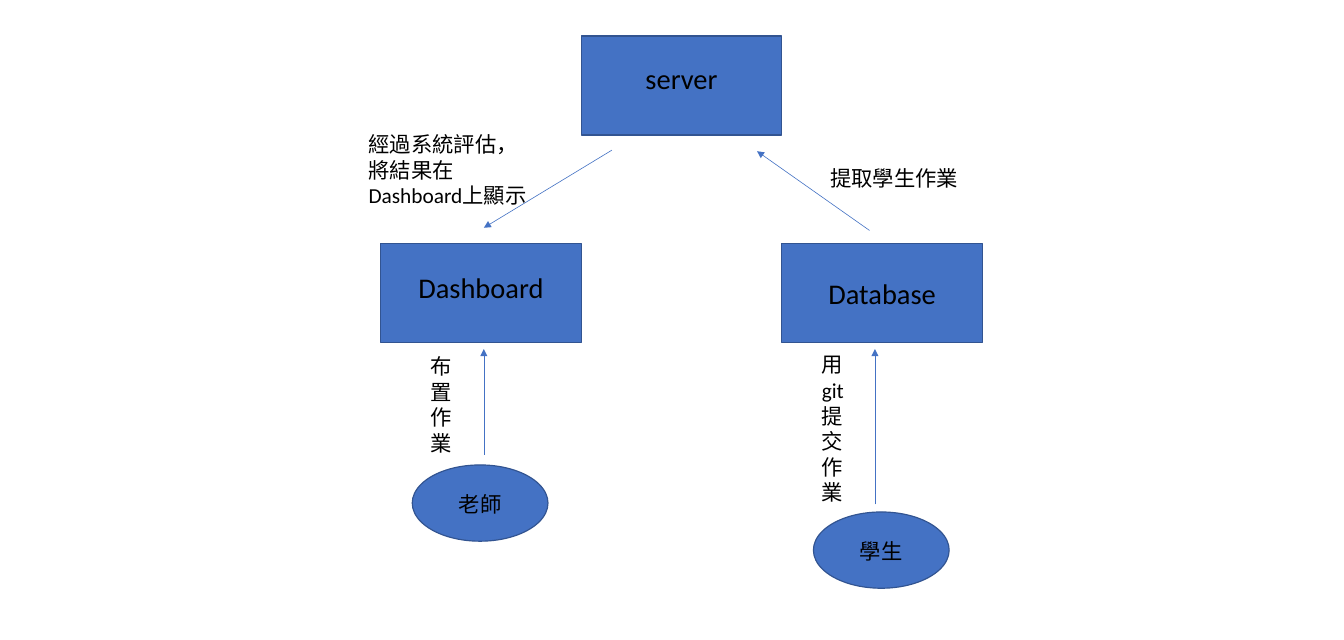
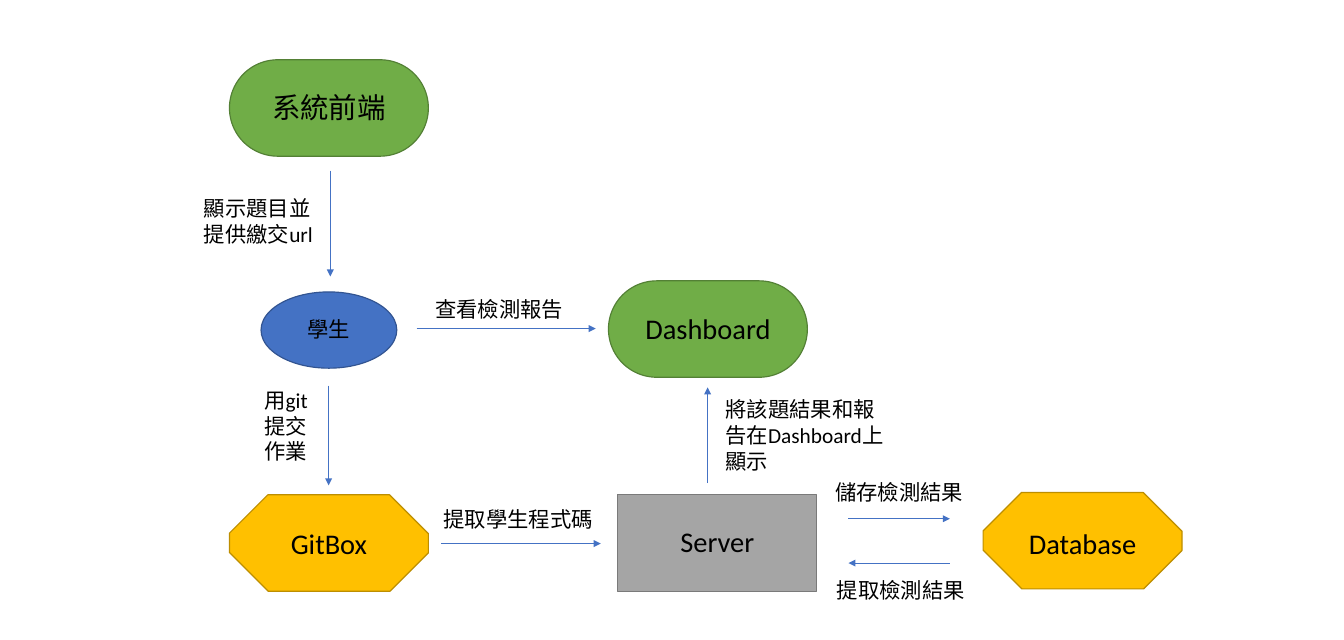
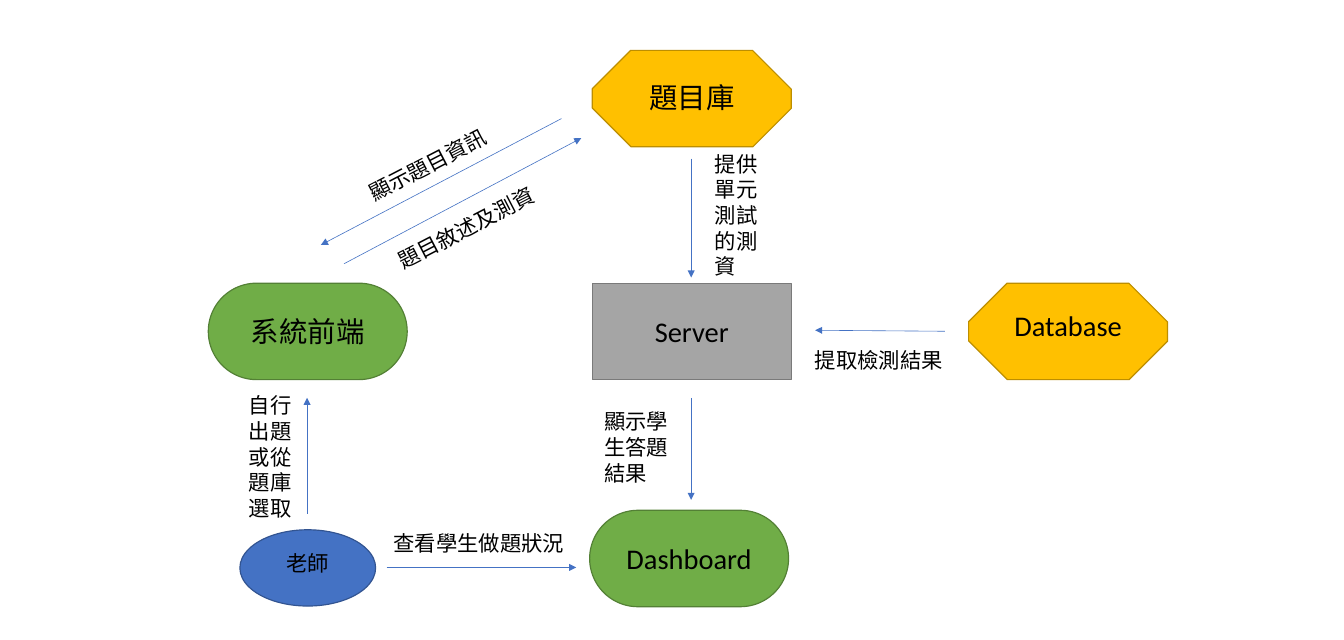
from lxml import etree
from pptx import Presentation
from pptx.dml.color import RGBColor
from pptx.enum.shapes import MSO_CONNECTOR, MSO_SHAPE
from pptx.enum.text import MSO_AUTO_SIZE, PP_ALIGN
from pptx.oxml.ns import qn
from pptx.util import Cm, Pt

RECT, OVAL = MSO_SHAPE.RECTANGLE, MSO_SHAPE.OVAL
ROUND, SNIP = MSO_SHAPE.ROUNDED_RECTANGLE, MSO_SHAPE.SNIP_2_DIAG_RECTANGLE
STRAIGHT = MSO_CONNECTOR.STRAIGHT
LEFT, CENTER = PP_ALIGN.LEFT, PP_ALIGN.CENTER
FIT = MSO_AUTO_SIZE.SHAPE_TO_FIT_TEXT

FONT = "Calibri"
BLACK = "000000"
ARROW = "4472C4"
SLOPE = 332.5  # rotation of labels along slanted arrows

# kind: preset, adjustments, width, height, fill, line, label width, label size
KINDS = {
    "box": (RECT, (), 5.97, 2.95, "4472C4", "325491", 4.52, 24),
    "person": (OVAL, (), 4.04, 2.27, "4472C4", "325491", 2.78, 18),
    "page": (ROUND, (0.5,), 5.92, 2.87, "70AD47", "538035", 4.67, 24),
    "store": (SNIP, (0.398, 0.402), 5.92, 2.87, "FFC000", "BD8E00", 4.47, 24),
    "server": (RECT, (), 5.92, 2.87, "A5A5A5", "7A7A7A", 4.47, 24),
}

# All lengths in cm.
# nodes: kind, text, left, top, label top
# arrows: from x, from y, to x, to y
# labels: text, left, top, width, lines, rotation
SLIDES = [
    {
        "nodes": [
            ("box", "server", 17.3, 1.07, 1.68),
            ("box", "Dashboard", 11.33, 7.24, 7.92),
            ("box", "Database", 23.27, 7.24, 8.08),
            ("person", "老師", 12.27, 13.84, 14.48),
            ("person", "學生", 24.21, 15.24, 15.88),
        ],
        "arrows": [
            (26.04, 15.01, 26.04, 10.39),
            (14.4, 13.54, 14.4, 10.39),
            (25.88, 6.86, 22.53, 4.5),
            (18.21, 4.47, 14.4, 6.78),
        ],
        "labels": [
            ("用git提交作業", 24.21, 10.34, 1.65, 6, 0),
            ("布置作業", 12.55, 10.39, 1.32, 4, 0),
            ("提取學生作業", 24.46, 4.8, 4.42, 1, 0),
            ("經過系統評估，\n將結果在Dashboard上顯示", 10.72, 3.78, 5.23, 4, 0),
        ],
    },
    {
        "nodes": [
            ("page", "系統前端", 6.83, 1.78, 2.57),
            ("person", "學生", 7.77, 8.69, 9.3),
            ("page", "Dashboard", 18.11, 8.36, 9.14),
            ("store", "GitBox", 6.83, 14.73, 15.54),
            ("server", "Server", 18.39, 14.73, 15.47),
            ("store", "Database", 29.26, 14.66, 15.54),
        ],
        "arrows": [
            (9.83, 5.08, 9.83, 8.23),
            (9.78, 11.48, 9.78, 14.45),
            (12.4, 9.78, 17.73, 9.78),
            (13.13, 16.18, 17.88, 16.18),
            (21.06, 14.38, 21.06, 11.53),
            (25.25, 15.44, 28.27, 15.44),
            (28.27, 16.76, 25.25, 16.76),
        ],
        "labels": [
            ("顯示題目並提供繳交url", 5.82, 5.69, 4.01, 2, 0),
            ("用git提交作業", 7.62, 11.4, 2.06, 3, 0),
            ("查看檢測報告", 12.7, 8.69, 4.32, 1, 0),
            ("提取學生程式碼", 12.95, 14.94, 5, 1, 0),
            ("將該題結果和報告在Dashboard上顯示", 21.34, 11.68, 5.21, 3, 0),
            ("儲存檢測結果", 24.61, 14.15, 4.47, 1, 0),
            ("提取檢測結果", 24.66, 17.04, 4.42, 1, 0),
        ],
    },
    {
        "nodes": [
            ("store", "題目庫", 17.63, 1.5, 2.26),
            ("page", "系統前端", 6.2, 8.43, 9.22),
            ("server", "Server", 17.63, 8.43, 9.22),
            ("store", "Database", 28.83, 8.43, 9.04),
            ("person", "老師", 7.14, 15.77, 16.26),
            ("page", "Dashboard", 17.55, 15.19, 15.98),
        ],
        "arrows": [
            (16.71, 3.53, 9.55, 7.29),
            (10.24, 7.85, 17.3, 4.11),
            (20.57, 4.72, 20.57, 8.26),
            (28.12, 9.86, 24.26, 9.83),
            (20.57, 11.84, 20.57, 14.88),
            (9.14, 15.29, 9.14, 11.84),
            (11.51, 16.89, 17.15, 16.89),
        ],
        "labels": [
            ("顯示題目資訊", 10.57, 4.39, 4.32, 1, SLOPE),
            ("題目敘述及測資", 11.4, 6.25, 5.03, 1, SLOPE),
            ("提供單元測試的測資", 21.03, 4.37, 1.85, 5, 0),
            ("提取檢測結果", 24, 10.21, 4.42, 1, 0),
            ("顯示學生答題結果", 17.73, 12.04, 2.51, 3, 0),
            ("自行出題或從題庫選取", 7.16, 11.56, 1.85, 5, 0),
            ("查看學生做題狀況", 11.46, 15.65, 5.69, 1, 0),
        ],
    },
]


def color(hex_value):
    """Turn a hex string into a colour."""
    return RGBColor.from_string(hex_value)


def add_text(s, text, x, y, w, lines=1, size=18, align=LEFT):
    """Add a wrapping text box, as high as its lines need."""
    height = 0.25 + lines * size * 0.0427
    box = s.shapes.add_textbox(Cm(x), Cm(y), Cm(w), Cm(height))
    tf = box.text_frame
    tf.text = text
    tf.word_wrap = True
    tf.auto_size = FIT
    for p in tf.paragraphs:
        p.alignment = align
        for r in p.runs:
            r.font.name = FONT
            r.font.size = Pt(size)
            r.font.color.rgb = color(BLACK)
    return box


prs = Presentation()
prs.slide_width, prs.slide_height = Cm(40), Cm(19.05)

for diagram in SLIDES:
    s = prs.slides.add_slide(prs.slide_layouts[6])

    for kind, text, x, y, label_top in diagram["nodes"]:
        preset, adjustments, w, h, fill, line, label_w, size = KINDS[kind]
        sp = s.shapes.add_shape(preset, Cm(x), Cm(y), Cm(w), Cm(h))
        for i, value in enumerate(adjustments):
            sp.adjustments[i] = value
        sp.shadow.inherit = False
        sp.fill.solid()
        sp.fill.fore_color.rgb = color(fill)
        sp.line.color.rgb = color(line)
        sp.line.width = Pt(1)
        add_text(s, text, x + (w - label_w) / 2, label_top, label_w,
                 size=size, align=CENTER)

    for ends in diagram["arrows"]:
        arrow = s.shapes.add_connector(STRAIGHT, *[Cm(v) for v in ends])
        arrow.line.color.rgb = color(ARROW)
        arrow.line.width = Pt(0.5)
        etree.SubElement(arrow.line._get_or_add_ln(), qn("a:tailEnd"), type="triangle")
        etree.SubElement(arrow._element.spPr, qn("a:effectLst"))

    for text, x, y, w, lines, rotation in diagram["labels"]:
        label = add_text(s, text, x, y, w, lines)
        label.rotation = rotation

prs.save("out.pptx")
